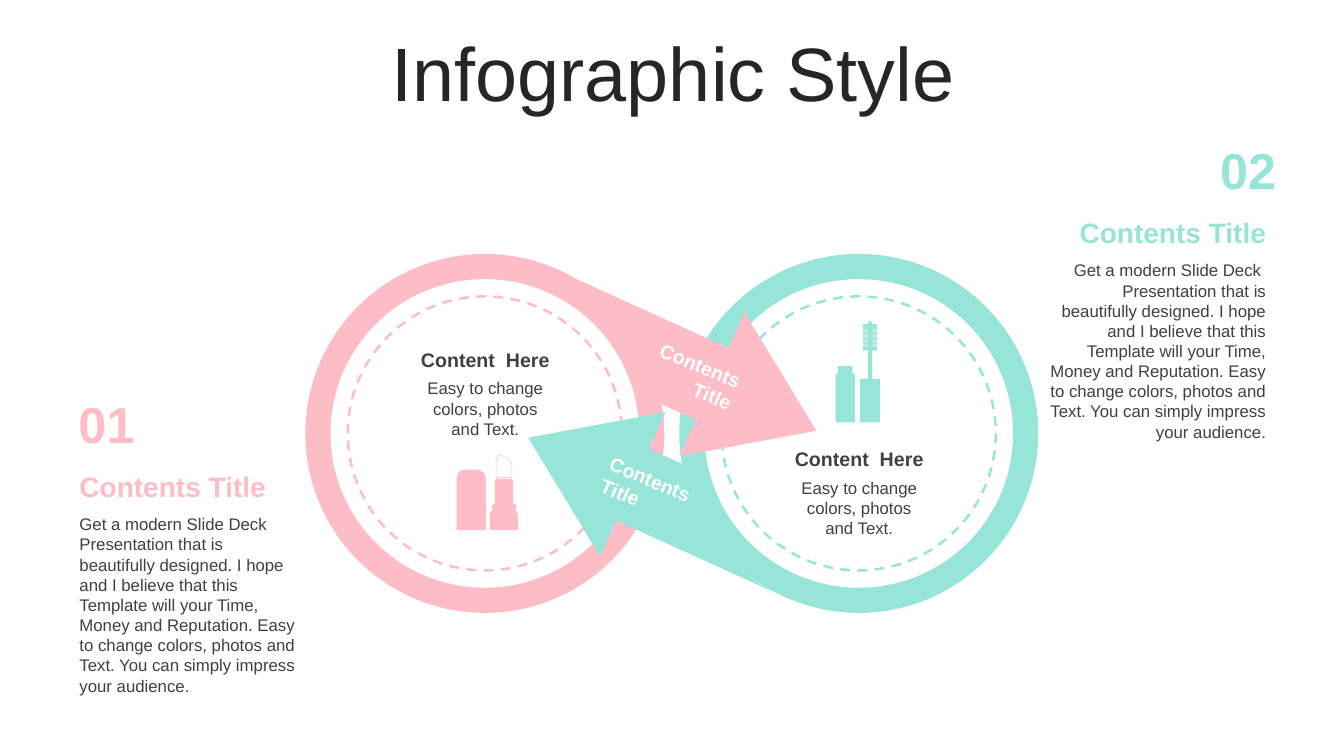
from dataclasses import dataclass

from pptx import Presentation
from pptx.dml.color import RGBColor
from pptx.enum.dml import MSO_LINE
from pptx.enum.shapes import MSO_SHAPE
from pptx.enum.text import MSO_ANCHOR, MSO_AUTO_SIZE, PP_ALIGN
from pptx.util import Pt


@dataclass(frozen=True)
class Theme:
    """Colours, font and type sizes of the slide."""
    font: str = "Arial"
    pink: str = "FDBDC7"
    mint: str = "96E5D8"
    white: str = "FFFFFF"
    ink: str = "262626"
    grey: str = "404040"
    headline: int = 54
    number: int = 36
    heading: int = 20
    label: int = 14
    body: int = 12


def apply(target, values):
    """Set each named attribute of the target."""
    for name, value in values.items():
        setattr(target, name, value)


def curve(start, bend, steps=12):
    """Return points along a cubic curve after its start."""
    knots = [start, bend[:2], bend[2:4], bend[4:]]
    points = []
    for step in range(1, steps + 1):
        t = step / steps
        weights = ((1 - t) ** 3, 3 * t * (1 - t) ** 2, 3 * t * t * (1 - t), t ** 3)
        points.append(tuple(sum(w * k[axis] for w, k in zip(weights, knots))
                            for axis in (0, 1)))
    return points


def flatten(outline):
    """Turn corners and six-number curves into points in hundredths."""
    points = []
    for part in outline:
        points += [part] if len(part) == 2 else curve(points[-1], part)
    return [(round(x * 100), round(y * 100)) for x, y in points]


class Canvas:
    """Draw styled elements on one slide, measured in points."""

    def __init__(self, slide, theme):
        """Keep the slide and its theme."""
        self.slide = slide
        self.theme = theme

    def fill_text(self, frame, words, size, color, bold=False, align=PP_ALIGN.LEFT):
        """Fill a text frame with one formatted paragraph."""
        paragraph = frame.paragraphs[0]
        paragraph.text = words
        paragraph.alignment = align
        apply(paragraph.font, {"name": self.theme.font, "size": Pt(size), "bold": bold})
        paragraph.font.color.rgb = RGBColor.from_string(color)
        return paragraph

    def title(self, words, box):
        """Place and format the slide title."""
        heading = self.slide.shapes.title
        apply(heading, dict(zip(("left", "top", "width", "height"), map(Pt, box))))
        apply(heading.text_frame, {"word_wrap": True, "auto_size": MSO_AUTO_SIZE.NONE,
                                   "vertical_anchor": MSO_ANCHOR.MIDDLE})
        line = self.fill_text(heading.text_frame, words, self.theme.headline,
                              self.theme.ink, align=PP_ALIGN.CENTER)
        apply(line, {"line_spacing": 0.9, "space_before": Pt(0)})

    def text(self, words, box, size, color, turn=0, frame_format=None, **style):
        """Add a wrapped text box."""
        holder = self.slide.shapes.add_textbox(*map(Pt, box))
        holder.rotation = turn
        apply(holder.text_frame, {"word_wrap": True,
                                  "auto_size": MSO_AUTO_SIZE.SHAPE_TO_FIT_TEXT,
                                  **(frame_format or {})})
        self.fill_text(holder.text_frame, words, size, color, **style)

    def paint(self, shape, color):
        """Give a shape a flat fill without line or shadow."""
        shape.shadow.inherit = False
        shape.fill.solid()
        shape.fill.fore_color.rgb = RGBColor.from_string(color)
        shape.line.fill.background()

    def disc(self, center, radius, color, dash=None):
        """Add a circle around a center, with a dashed rim if asked."""
        x, y = center
        circle = self.slide.shapes.add_shape(
            MSO_SHAPE.OVAL, *map(Pt, (x - radius, y - radius, 2 * radius, 2 * radius)))
        self.paint(circle, color)
        if dash:
            circle.line.color.rgb = RGBColor.from_string(dash)
            apply(circle.line, {"width": Pt(1.75), "dash_style": MSO_LINE.DASH})

    def outline(self, contours, color, origin=(0, 0), turn=0):
        """Add a filled freeform made of closed contours."""
        first, *others = map(flatten, contours)
        builder = self.slide.shapes.build_freeform(*first[0], scale=Pt(1) / 100)
        builder.add_line_segments(first[1:], close=True)
        for points in others:
            builder.move_to(*points[0])
            builder.add_line_segments(points[1:], close=True)
        figure = builder.convert_to_shape(*map(Pt, origin))
        figure.rotation = turn
        self.paint(figure, color)


ARROW = [(28.5, -102.9), (28.5, 21.2), (56.5, 21.2), (0.6, 102.9), (-56.5, 21.2),
         (-27.8, 21.2), (-27.8, -5.9), (-23.7, -8.6),
         (4.1, -29.1, 21.7, -58.5, 27.4, -91.1)]
LIPSTICK = [
    [(326.2, 378.7), (326.2, 342), (326.2, 338.4, 328.5, 335.5, 332.6, 335.5),
     (339.9, 335.5), (344, 335.5, 347, 338.4, 347, 342), (347, 378.7)],
    [(355, 342), (363.6, 342), (365.5, 342, 366.5, 342.7, 366.5, 344.2),
     (366.5, 359.3), (367.2, 360), (368.6, 360.7, 369.4, 362.2, 368.6, 363.6),
     (367.9, 363.6), (369.4, 365.8, 370.1, 367.9, 370.1, 370.1), (370.1, 378.7),
     (349.9, 378.7), (349.9, 368.6), (349.9, 366.5, 350.6, 365, 352.1, 363.6),
     (351.4, 362.9, 350.9, 361.2, 352.1, 360.7),
     (353.5, 360, 353.5, 359.3, 353.5, 358.6), (353.5, 343.5),
     (353.5, 342.7, 354.2, 342, 355, 342)],
    [(357.1, 324.6), (359, 325.2, 362.5, 327.5, 364.3, 328.5),
     (365.3, 329.8, 365.9, 331, 365.9, 332.6), (365.9, 341.1), (354.2, 341.1),
     (354.2, 329), (354.2, 327.4, 355.4, 325.8, 356.4, 324.7)],
    [(357.1, 325), (356.6, 325.2), (355.7, 326.2, 354.6, 327.6, 354.6, 329.2),
     (354.6, 340.7), (365.5, 340.7), (365.5, 332.6),
     (365.5, 331.2, 365, 330, 364, 328.9), (362.3, 327.8, 359, 325.6, 357.1, 325)],
]


def mascara():
    """Return the contours of a bottle and its mirrored brush."""
    bottle = [(598.6, 261.5), (608.8, 261.5), (608.8, 267.1), (610.6, 267.1),
              (610.6, 301.7), (596.9, 301.7), (596.9, 267.1), (598.6, 267.1)]
    half = [(0.4, 229), (1.5, 231.3)]
    for tooth in range(21):
        top = 231.6 + 0.9 * tooth
        half += [(1.5, top), (5, top), (5, top + 0.6), (1.5, top + 0.6)]
    half += [(1.5, 270.7), (7.1, 270.7), (7.1, 301.7)]
    axis = 621.4
    brush = [(axis + x, y) for x, y in half] + [(axis - x, y) for x, y in reversed(half)]
    return [bottle, brush]


def main():
    """Build the slide and save it."""
    deck = Presentation()
    apply(deck, {"slide_width": Pt(960), "slide_height": Pt(540)})
    theme = Theme()
    canvas = Canvas(deck.slides.add_slide(deck.slide_layouts[5]), theme)
    canvas.title("Infographic Style", (25.2, 26.6, 911.5, 56.9))

    middle = {"vertical_anchor": MSO_ANCHOR.MIDDLE}
    left_center, right_center = (346.3, 309.6), (613.4, 309.6)
    pink_arrow, mint_arrow = ((489.2, 265.7), 294.4), ((471.2, 354.6), 114.4)

    def face(center, color):
        """Draw the white inside of a ring with its dashed rim."""
        canvas.disc(center, 110.2, theme.white)
        canvas.disc(center, 97.9, theme.white, dash=color)

    canvas.disc(left_center, 128.2, theme.pink)
    face(left_center, theme.pink)
    canvas.disc(right_center, 128.2, theme.mint)
    canvas.outline([ARROW], theme.mint, *mint_arrow)
    face(right_center, theme.mint)
    canvas.outline([ARROW], theme.pink, *pink_arrow)

    for left, top in ((292.3, 244.8), (559.4, 315.6)):
        canvas.text("Content  Here", (left, top, 108.7, 24.2), theme.label, theme.grey,
                    frame_format=middle, bold=True, align=PP_ALIGN.CENTER)
        canvas.text("Easy to change colors, photos and Text.",
                    (left, top + 21.8, 108.7, 51), theme.body, theme.grey,
                    align=PP_ALIGN.CENTER)

    for left, top, align in ((450, 246.2, PP_ALIGN.RIGHT), (423.4, 331.2, PP_ALIGN.LEFT)):
        canvas.text("Contents Title", (left, top, 85, 41.2), theme.label, theme.white,
                    turn=22.5, frame_format=middle, bold=True, align=align)

    story = ("Get a modern Slide Deck  Presentation that is beautifully designed. "
             "I hope and I believe that this Template will your Time, Money and "
             "Reputation. Easy to change colors, photos and Text. You can simply "
             "impress your audience.")
    for number, color, number_left, left, top, align in (
            ("01", theme.pink, 49, 49.7, 277.2, PP_ALIGN.LEFT),
            ("02", theme.mint, 839.5, 743, 95.8, PP_ALIGN.RIGHT)):
        canvas.text(number, (number_left, top, 72, 51), theme.number, color,
                    frame_format={"margin_right": Pt(0)}, bold=True, align=align)
        canvas.text("Contents Title", (left, top + 54.7, 168.5, 31.5), theme.heading,
                    color, bold=True, align=align)
        canvas.text(story, (left, top + 86.4, 168.5, 138.2), theme.body, theme.grey,
                    align=align)

    canvas.outline(mascara(), theme.mint)
    canvas.outline(LIPSTICK, theme.pink)
    deck.save("out.pptx")


if __name__ == "__main__":
    main()
